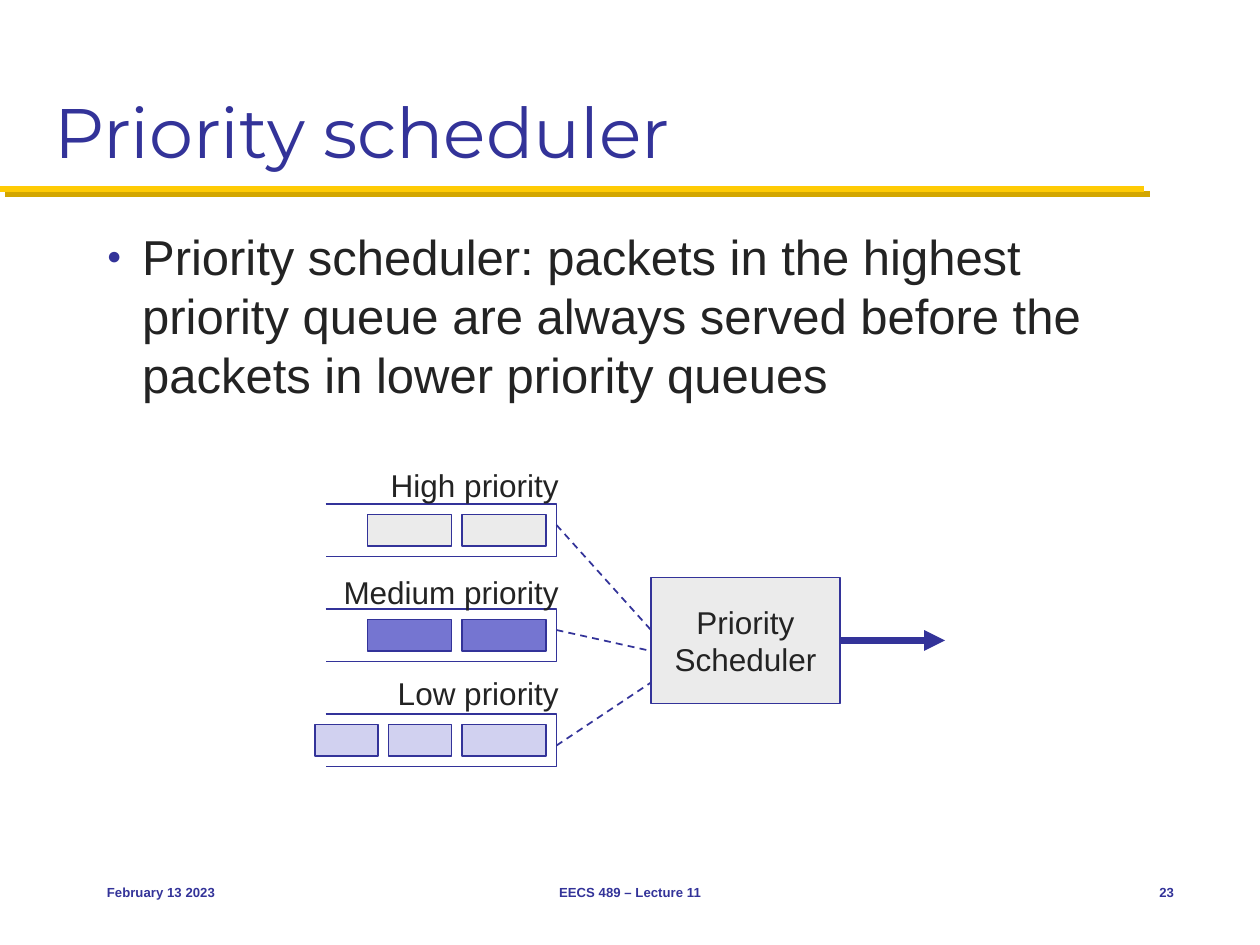
import pptx
import pptx.util
import pptx.dml.color
import pptx.enum.dml
import pptx.enum.shapes
import pptx.enum.text
import pptx.oxml
import pptx.oxml.ns

UNIT = pptx.util.Inches(1) / 12
BLUE, DARK, GRAY = "333399", "232323", "EBEBEB"
ALIGN = pptx.enum.text.PP_ALIGN
ANCHOR = pptx.enum.text.MSO_ANCHOR
NS = pptx.oxml.ns.nsdecls("a")

QUEUES = [
    ("High priority", 43.8, 48, GRAY, [(44, 8), (35, 8)], (50, 60)),
    ("Medium priority", 54, 58, "7575D1", [(44, 8), (35, 8)], (60, 62)),
    ("Low priority", 63.6, 68, "D1D1F0", [(44, 8), (37, 6), (30, 6)], (71, 65)),
]
FOOTER = [
    ("February 13 2023", 9, 25, ALIGN.LEFT),
    ("EECS 489 – Lecture 11", 41, 38, ALIGN.CENTER),
    ("23", 105, 8, ALIGN.RIGHT),
]


def grid(*cells):
    return [pptx.util.Emu(round(cell * UNIT)) for cell in cells]


def color(code):
    return pptx.dml.color.RGBColor.from_string(code)


def apply(item, form):
    for key, value in form.items():
        setattr(item, key, value)


def add_xml(parent, text):
    parent.append(pptx.oxml.parse_xml(text))


def stroke(shape, code=BLUE, width=1):
    shape.line.color.rgb = color(code)
    shape.line.width = pptx.util.Pt(width)


def write(shape, text, size, code=DARK, font="Arial", bold=False,
          align=ALIGN.LEFT, anchor=ANCHOR.TOP):
    frame = shape.text_frame
    apply(frame, {"text": text, "word_wrap": True, "vertical_anchor": anchor})
    for para in frame.paragraphs:
        para.alignment = align
        apply(para.font, {"name": font, "size": pptx.util.Pt(size), "bold": bold})
        para.font.color.rgb = color(code)
    return frame


def add_text(slide, box, text, size, **form):
    return write(slide.shapes.add_textbox(*grid(*box)), text, size, **form)


def add_box(slide, box, fill):
    shape = slide.shapes.add_shape(
        pptx.enum.shapes.MSO_SHAPE.RECTANGLE, *grid(*box))
    shape.shadow.inherit = False
    shape.fill.solid()
    shape.fill.fore_color.rgb = color(fill)
    stroke(shape)
    return shape


def add_line(slide, ends, code=BLUE, width=1, dash=None, arrow=False, shade=""):
    line = slide.shapes.add_connector(
        pptx.enum.shapes.MSO_CONNECTOR.STRAIGHT, *grid(*ends))
    stroke(line, code, width)
    line.line.dash_style = dash
    if arrow:
        add_xml(line.line._get_or_add_ln(), f'<a:tailEnd {NS} type="triangle"/>')
    add_xml(line._element.spPr, f"<a:effectLst {NS}>{shade}</a:effectLst>")


def add_rule(slide):
    shade = ('<a:outerShdw dist="53340" dir="2700000" algn="ctr" rotWithShape="0">'
             '<a:srgbClr val="D3A600"/></a:outerShdw>')
    add_line(slide, (0, 18, 109, 18), "FFCB05", 3.5, shade=shade)


def add_title(slide, text):
    title = slide.shapes.title
    apply(title, dict(zip(("left", "top", "width", "height"), grid(4, 2, 112, 15))))
    write(title, text, 40, BLUE, "Montserrat", anchor=ANCHOR.BOTTOM)


def add_bullet(slide, box, text):
    para = add_text(slide, box, text, 28).paragraphs[0]
    para.space_before = pptx.util.Pt(5.6)
    props = para._p.get_or_add_pPr()
    indent = pptx.util.Inches(0.28)
    props.set("marL", str(indent))
    props.set("indent", str(-indent))
    marks = (f'<a:buClr {NS}><a:srgbClr val="{BLUE}"/></a:buClr>',
             f'<a:buSzPct {NS} val="50000"/>',
             f'<a:buFont {NS} typeface="Arial"/>',
             f'<a:buChar {NS} char="●"/>')
    for spot, mark in enumerate(marks, 1):
        props.insert(spot, pptx.oxml.parse_xml(mark))


def add_queue(slide, name, head, top, fill, packs, link):
    path = slide.shapes.build_freeform(*grid(31, top), scale=1.0)
    path.add_line_segments(
        [grid(53, top), grid(53, top + 5), grid(31, top + 5)], close=False)
    frame = path.convert_to_shape()
    frame.shadow.inherit = False
    frame.fill.background()
    stroke(frame)
    for left, width in packs:
        add_box(slide, (left, top + 1, width, 3), fill)
    add_text(slide, (28, head, 26.4, 4.8), name, 18, align=ALIGN.RIGHT)
    start, end = link
    add_line(slide, (53, start, 62, end), dash=pptx.enum.dml.MSO_LINE.DASH)


def main():
    deck = pptx.Presentation()
    deck.slide_width, deck.slide_height = grid(120, 90)
    slide = deck.slides.add_slide(deck.slide_layouts[5])
    add_rule(slide)
    add_title(slide, "Priority scheduler")
    add_bullet(slide, (9, 21, 104, 58),
               "Priority scheduler: packets in the highest priority queue are "
               "always served before the packets in lower priority queues")
    for queue in QUEUES:
        add_queue(slide, *queue)
    server = add_box(slide, (62, 55, 18, 12), GRAY)
    write(server, "Priority\nScheduler", 18, align=ALIGN.CENTER,
          anchor=ANCHOR.MIDDLE)
    add_line(slide, (80, 61, 90, 61), width=4, arrow=True)
    for text, left, width, align in FOOTER:
        add_text(slide, (left, 82, width, 6), text, 7.5, code=BLUE, bold=True,
                 align=align, anchor=ANCHOR.MIDDLE)
    deck.save("out.pptx")


if __name__ == "__main__":
    main()
